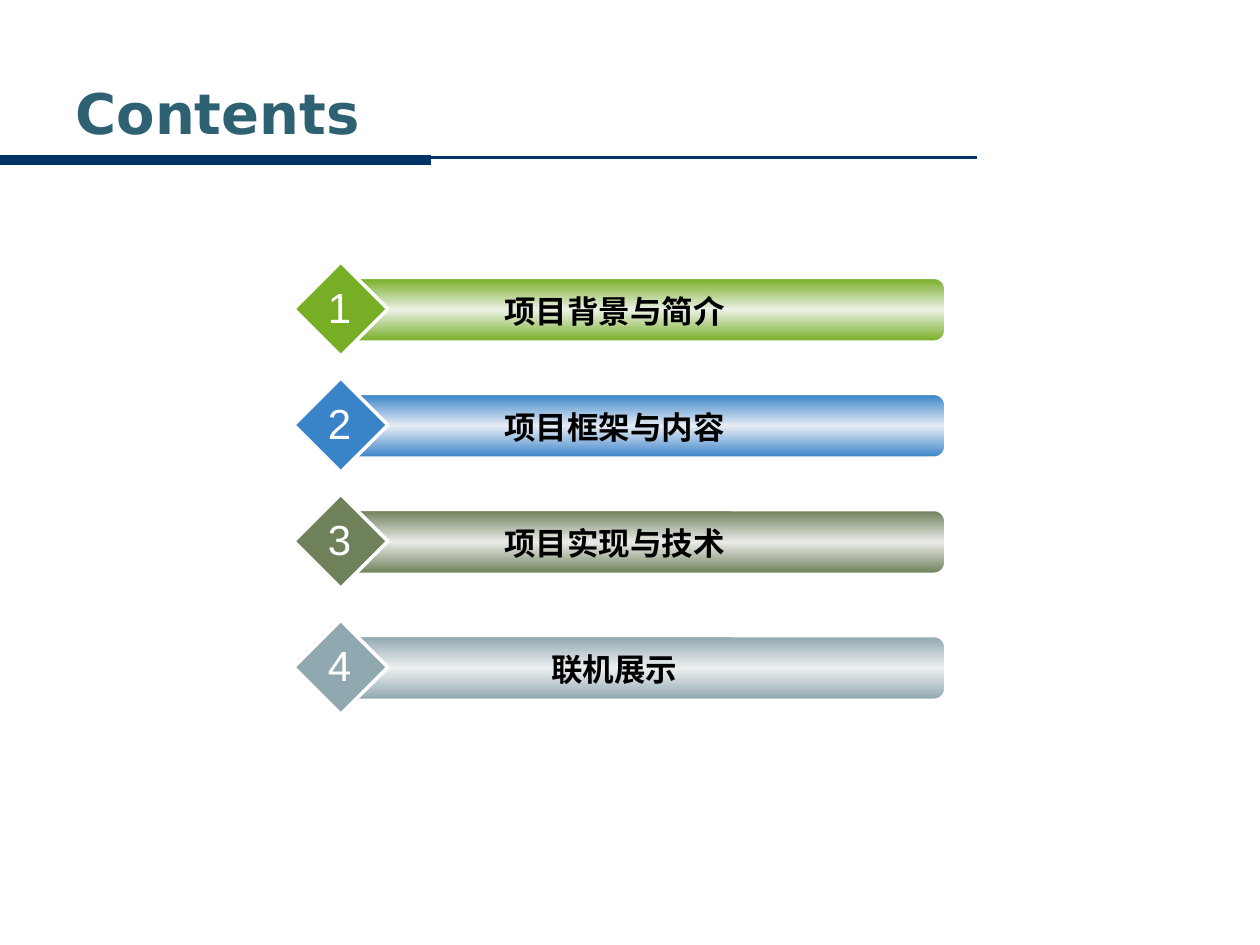
from copy import deepcopy

from pptx import Presentation
from pptx.dml.color import RGBColor
from pptx.enum.shapes import MSO_CONNECTOR, MSO_SHAPE
from pptx.enum.text import MSO_ANCHOR, MSO_AUTO_SIZE, PP_ALIGN
from pptx.oxml.ns import qn
from pptx.oxml.xmlchemy import OxmlElement
from pptx.util import Cm, Pt

NAVY = RGBColor(0x00, 0x33, 0x66)
TEAL = RGBColor(0x2E, 0x62, 0x72)
WHITE = RGBColor(0xFF, 0xFF, 0xFF)
BLACK = RGBColor(0x00, 0x00, 0x00)
GREEN, PALE_GREEN = RGBColor(0x77, 0xAE, 0x26), RGBColor(0xEB, 0xF1, 0xE6)
BLUE, PALE_BLUE = RGBColor(0x39, 0x84, 0xC9), RGBColor(0xE7, 0xEC, 0xF5)
OLIVE, PALE_OLIVE = RGBColor(0x6E, 0x81, 0x5B), RGBColor(0xEA, 0xEB, 0xE8)
GREY, PALE_GREY = RGBColor(0x90, 0xA8, 0xB0), RGBColor(0xED, 0xF0, 0xF1)

# Top, heading, edge colour and middle colour of each entry
ENTRIES = [
    (Cm(5.28), "项目背景与简介", GREEN, PALE_GREEN),
    (Cm(7.62), "项目框架与内容", BLUE, PALE_BLUE),
    (Cm(9.96), "项目实现与技术", OLIVE, PALE_OLIVE),
    (Cm(12.5), "联机展示", GREY, PALE_GREY),
]


def add_span(para, text, size, color, font="Arial", bold=False):
    span = para.add_run()
    span.text = text
    span.font.size = Pt(size)
    span.font.name = font
    span.font.bold = bold
    span.font.color.rgb = color


def add_rule(page, start, end, y, weight):
    rule = page.shapes.add_connector(MSO_CONNECTOR.STRAIGHT, start, y, end, y)
    rule.line.color.rgb = NAVY
    rule.line.width = Pt(weight)
    rule.element.spPr.append(OxmlElement("a:effectLst"))


def add_label(group, left, top, width, height, text, size, color, bold, wrap):
    box = group.shapes.add_textbox(left, top, width, height)
    box.text_frame.word_wrap = wrap
    box.text_frame.auto_size = MSO_AUTO_SIZE.SHAPE_TO_FIT_TEXT
    para = box.text_frame.paragraphs[0]
    para.alignment = PP_ALIGN.CENTER
    add_span(para, text, size, color, bold=bold)


def add_outlined(group, kind, left, top, width, height, weight):
    shape = group.shapes.add_shape(kind, left, top, width, height)
    shape.shadow.inherit = False
    shape.line.color.rgb = WHITE
    shape.line.width = Pt(weight)
    return shape


def fill_banded(shape, edge, middle):
    """Vertical gradient: edge colour, middle colour, edge colour."""
    shape.fill.gradient()
    shape.fill.gradient_angle = 270
    for stop in shape.fill.gradient_stops:
        stop.color.rgb = edge
    stop_list = shape.element.find(".//" + qn("a:gsLst"))
    centre = deepcopy(stop_list[0])
    centre.set("pos", "50000")
    stop_list.insert(1, centre)
    shape.fill.gradient_stops[1].color.rgb = middle


def build_header(page, left, top, width, height):
    # Rules below the title
    add_rule(page, Cm(19.69), 0, top + Cm(1.7), 1.5)
    add_rule(page, 0, Cm(8.69), top + Cm(1.76), 6)

    # Title
    title = page.shapes.title
    title.left, title.top, title.width, title.height = left, top, width, height
    frame = title.text_frame
    frame.auto_size = MSO_AUTO_SIZE.NONE
    frame.vertical_anchor = MSO_ANCHOR.MIDDLE
    para = frame.paragraphs[0]
    para.alignment = PP_ALIGN.LEFT
    add_span(para, "Contents", 32, TEAL, "DejaVu Sans", True)


def build_entry(page, left, top, width, height, number, heading, edge, middle):
    group = page.shapes.add_group_shape()

    # Banded bar, then the diamond over its left end
    bar = add_outlined(group, MSO_SHAPE.ROUNDED_RECTANGLE, left + Cm(1.06),
                       top + Cm(0.33), width - Cm(1.06), Cm(1.27), 1)
    bar.adjustments[0] = 0.17
    fill_banded(bar, edge, middle)
    diamond = add_outlined(group, MSO_SHAPE.DIAMOND, left, top, height, height, 2)
    diamond.fill.solid()
    diamond.fill.fore_color.rgb = edge

    # Heading and number
    add_label(group, left + Cm(1.7), top + Cm(0.48), Cm(9.53), Cm(1.02),
              heading, 18, BLACK, True, True)
    add_label(group, left + Cm(0.43), top + Cm(0.27), Cm(0.99), Cm(1.27),
              str(number), 24, WHITE, False, False)


def main():
    deck = Presentation()
    deck.slide_width, deck.slide_height = Cm(25.4), Cm(19.05)
    page = deck.slides.add_slide(deck.slide_layouts.get_by_name("Title Only"))
    build_header(page, Cm(1.27), Cm(1.47), Cm(21.39), Cm(1.57))
    for number, (top, heading, edge, middle) in enumerate(ENTRIES, start=1):
        build_entry(page, Cm(5.92), top, Cm(13.13), Cm(1.9),
                    number, heading, edge, middle)
    deck.save("out.pptx")


if __name__ == "__main__":
    main()
